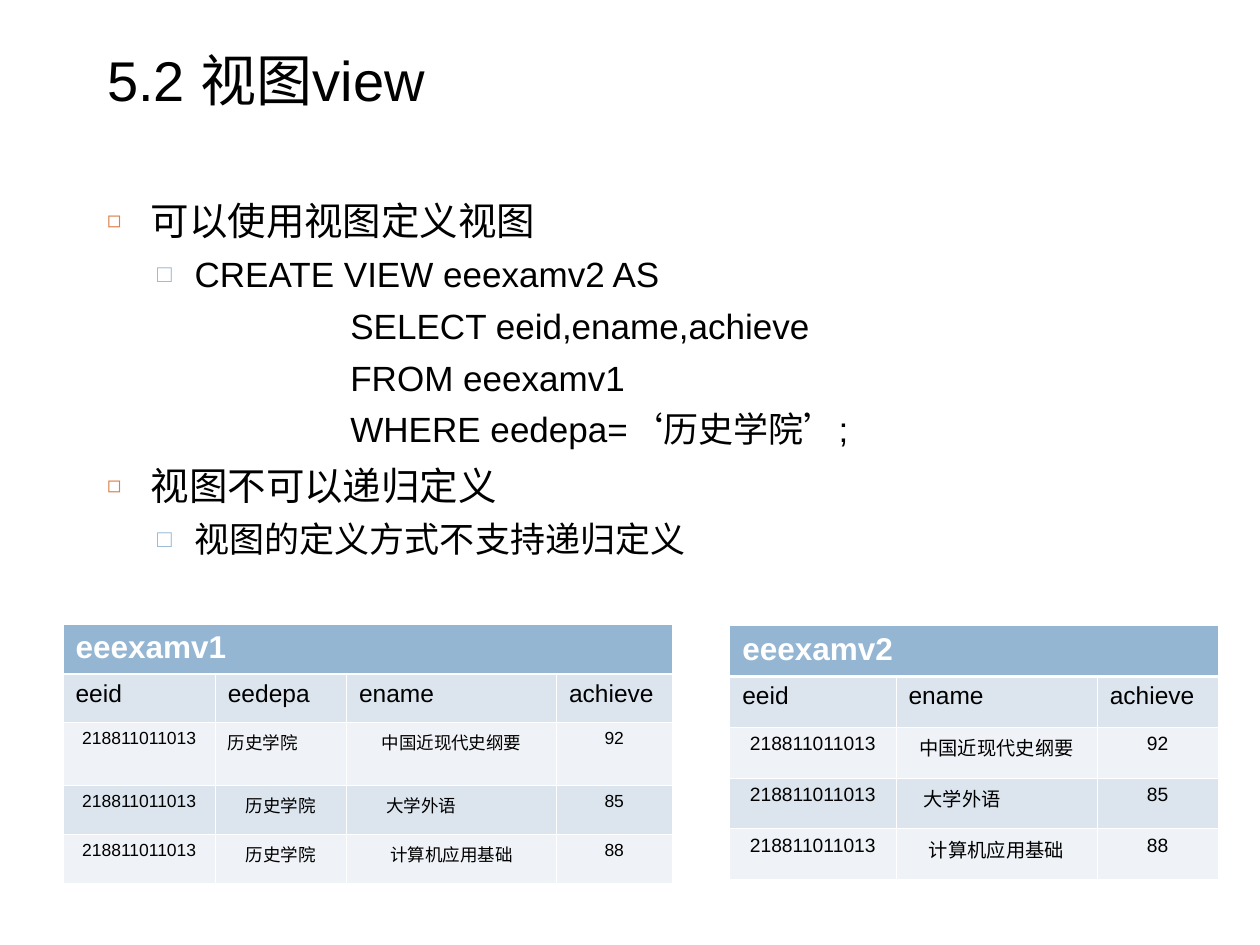
from lxml import etree
from pptx import Presentation
from pptx.dml.color import RGBColor
from pptx.enum.text import MSO_ANCHOR, MSO_AUTO_SIZE, PP_ALIGN
from pptx.oxml.ns import qn
from pptx.util import Pt

LEFT, CENTER = PP_ALIGN.LEFT, PP_ALIGN.CENTER
TOP, MIDDLE = MSO_ANCHOR.TOP, MSO_ANCHOR.MIDDLE
NO_FIT = MSO_AUTO_SIZE.NONE
SANS, SERIF = "Arial", "Times New Roman"
BLACK, WHITE, BLUE, ORANGE = "000000", "FFFFFF", "94B6D2", "DD8047"
DARK, LIGHT = "DCE5EE", "EFF3F7"

# Level settings: text size, left margin, first-line indent, space before
HEAD = (22, 25, -25, 7)
SUB = (20, 50, -21.5, 5.5)
CODE = (20, 139, 0, 5.5)
MARKS = {HEAD: ("◻", ORANGE, 60), SUB: ("□", BLUE, 70)}

LINES = [
    (HEAD, "可以使用视图定义视图"),
    (SUB, "CREATE VIEW eeexamv2 AS"),
    (CODE, "SELECT eeid,ename,achieve"),
    (CODE, "FROM eeexamv1"),
    (CODE, "WHERE eedepa=‘历史学院’;"),
    (HEAD, "视图不可以递归定义"),
    (SUB, "视图的定义方式不支持递归定义"),
]

ID, DEPT = "218811011013", "历史学院"
EXAMS = [("中国近现代史纲要", "92"), ("大学外语", "85"), ("计算机应用基础", "88")]


def color(code):
    return RGBColor.from_string(code)


def place(shape, box):
    shape.left, shape.top, shape.width, shape.height = map(Pt, box)


def add_run(para, text, size, tint=BLACK, face=SANS, bold=False):
    run = para.add_run()
    run.text = text
    font = run.font
    font.size, font.name, font.bold = Pt(size), face, bold
    font.color.rgb = color(tint)


def set_mark(para, mark):
    props = para._p.get_or_add_pPr()
    if mark is None:
        etree.SubElement(props, qn("a:buNone"))
        return
    char, tint, scale = mark
    paint = etree.SubElement(props, qn("a:buClr"))
    etree.SubElement(paint, qn("a:srgbClr"), val=tint)
    etree.SubElement(props, qn("a:buSzPct"), val=str(scale * 1000))
    etree.SubElement(props, qn("a:buChar"), char=char)


def set_indent(para, margin, first=0):
    props = para._p.get_or_add_pPr()
    props.set("marL", str(Pt(margin)))
    props.set("indent", str(Pt(first)))


def add_title(slide, box):
    title = slide.shapes.title
    place(title, box)
    frame = title.text_frame
    frame.auto_size, frame.vertical_anchor = NO_FIT, MIDDLE
    para = frame.paragraphs[0]
    para.alignment = LEFT
    add_run(para, "5.2 视图view", 32)


def add_list(slide, box):
    body = slide.placeholders[1]
    place(body, box)
    frame = body.text_frame
    frame.auto_size, frame.vertical_anchor = NO_FIT, TOP
    for i, (style, text) in enumerate(LINES):
        para = frame.add_paragraph() if i else frame.paragraphs[0]
        size, margin, first, gap = style
        para.level = 0 if style == HEAD else 1
        set_mark(para, MARKS.get(style))
        set_indent(para, margin, first)
        para.space_before = Pt(gap if i else 0)
        add_run(para, text, size)


def set_edges(cell, top, bottom):
    props = cell._tc.get_or_add_tcPr()
    edges = (("L", 0.45), ("R", 0.45), ("T", top), ("B", bottom))
    for i, (side, width) in enumerate(edges):
        line = etree.Element(qn(f"a:ln{side}"), w=str(Pt(width)))
        fill = etree.SubElement(line, qn("a:solidFill"))
        etree.SubElement(fill, qn("a:srgbClr"), val=WHITE)
        props.insert(i, line)


def add_grid(slide, spot, cols, rows, name, heads, data, size, shift):
    """Table with a merged name row; shift gives the left-aligned cells."""
    frame = slide.shapes.add_table(len(rows), len(cols), *map(Pt, spot),
                                   Pt(sum(cols)), Pt(sum(rows)))
    table = frame.table
    table.first_row = table.horz_banding = False
    for col, width in zip(table.columns, cols):
        col.width = Pt(width)
    for row, height in zip(table.rows, rows):
        row.height = Pt(height)

    # Fills and borders
    for r in range(len(rows)):
        for c in range(len(cols)):
            cell = table.cell(r, c)
            cell.fill.solid()
            tint = BLUE if r == 0 else DARK if r % 2 else LIGHT
            cell.fill.fore_color.rgb = color(tint)
            set_edges(cell, 1.47 if r == 1 else 0.45, 1.47 if r == 0 else 0.45)

    # Name and column heads
    table.cell(0, 0).merge(table.cell(0, len(cols) - 1))
    add_run(table.cell(0, 0).text_frame.paragraphs[0], name, 18, WHITE, bold=True)
    for c, head in enumerate(heads):
        add_run(table.cell(1, c).text_frame.paragraphs[0], head, 14)

    # Records
    for r, record in enumerate(data, 2):
        for c, text in enumerate(record):
            para = table.cell(r, c).text_frame.paragraphs[0]
            para.alignment = LEFT if (r, c) in shift else CENTER
            set_indent(para, shift.get((r, c), 0))
            add_run(para, text, size, face=SANS if text.isdigit() else SERIF)


def main():
    deck = Presentation()
    deck.slide_width, deck.slide_height = Pt(720), Pt(540)
    slide = deck.slides.add_slide(deck.slide_layouts[1])
    add_title(slide, (54, 12, 612, 66))
    add_list(slide, (54, 109, 504, 384))
    add_grid(slide, (36, 356.5), (87, 75, 120, 66), (28.5, 28, 36, 28, 28),
             "eeexamv1", ("eeid", "eedepa", "ename", "achieve"),
             [(ID, DEPT, *exam) for exam in EXAMS], 10, {(2, 1): 0, (3, 2): 15.5})
    add_grid(slide, (417, 357.5), (95, 115, 69), (29,) * 5,
             "eeexamv2", ("eeid", "ename", "achieve"),
             [(ID, *exam) for exam in EXAMS], 11, {(3, 1): 8.5})
    deck.save("out.pptx")


if __name__ == "__main__":
    main()
